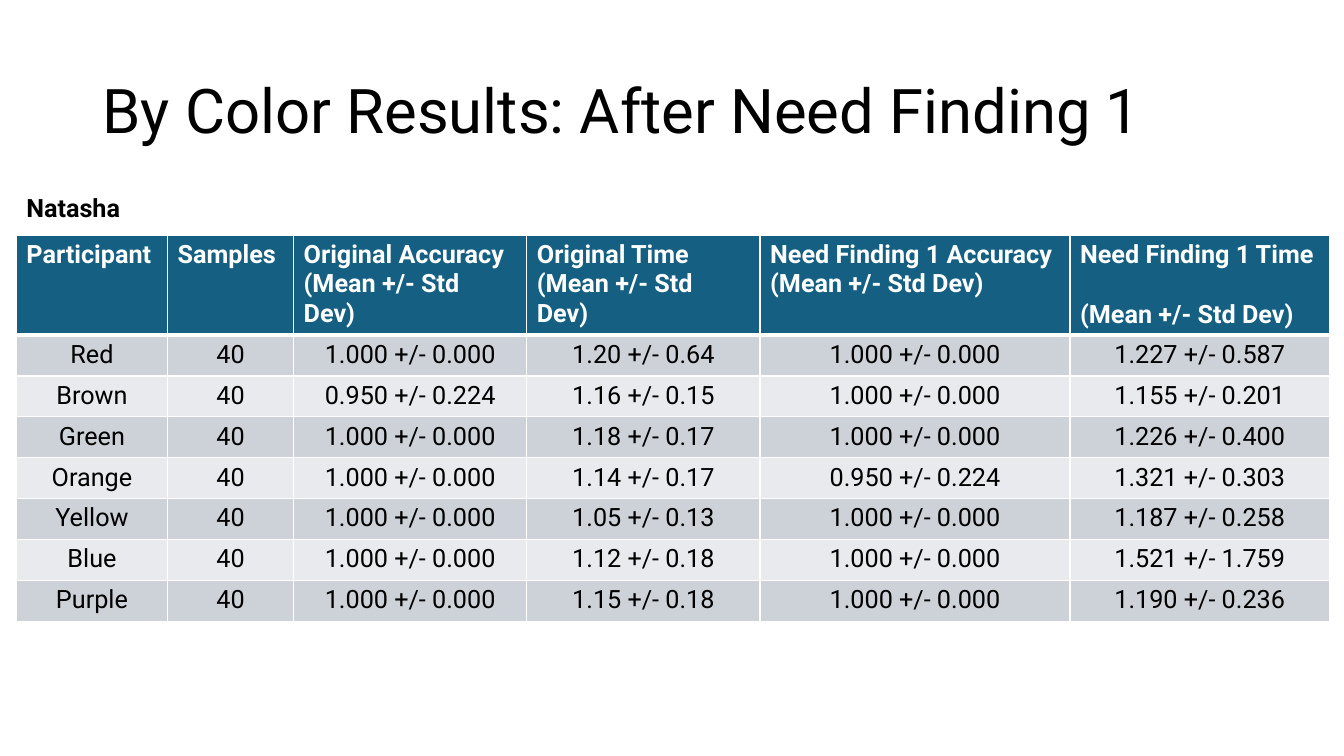
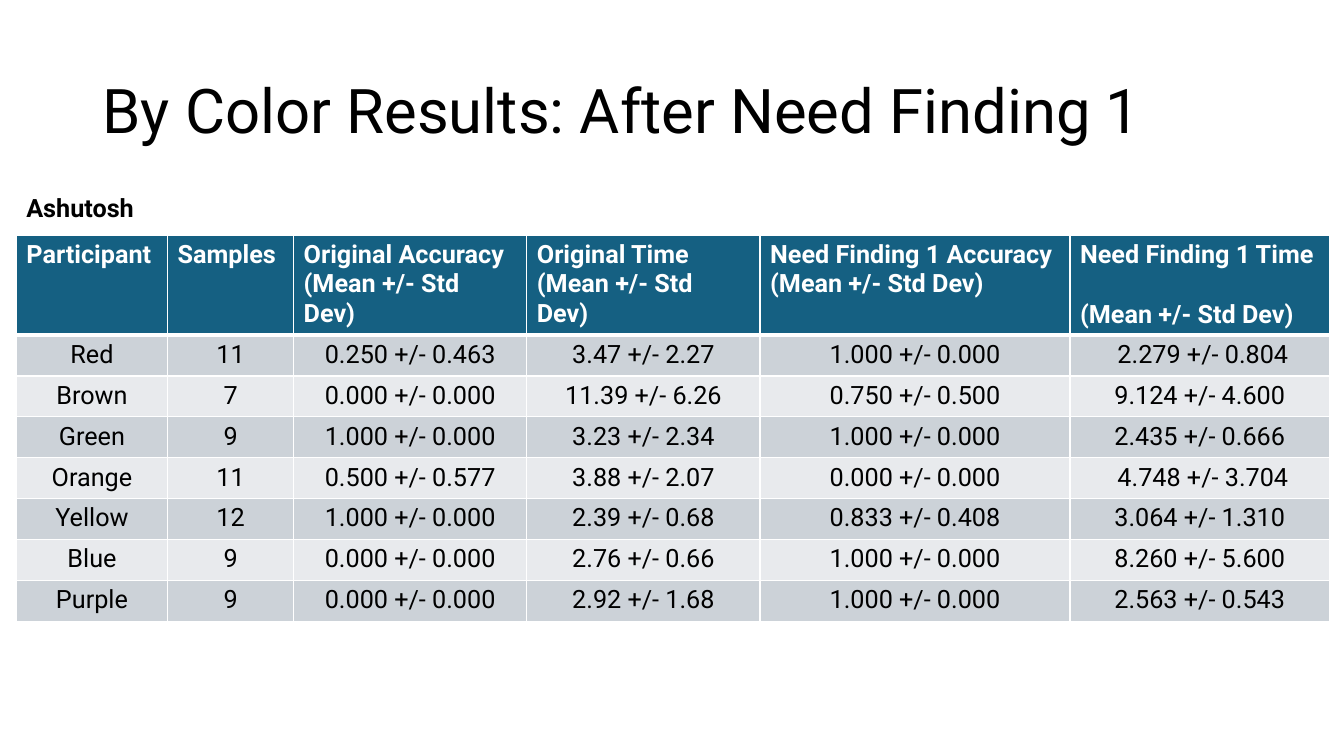
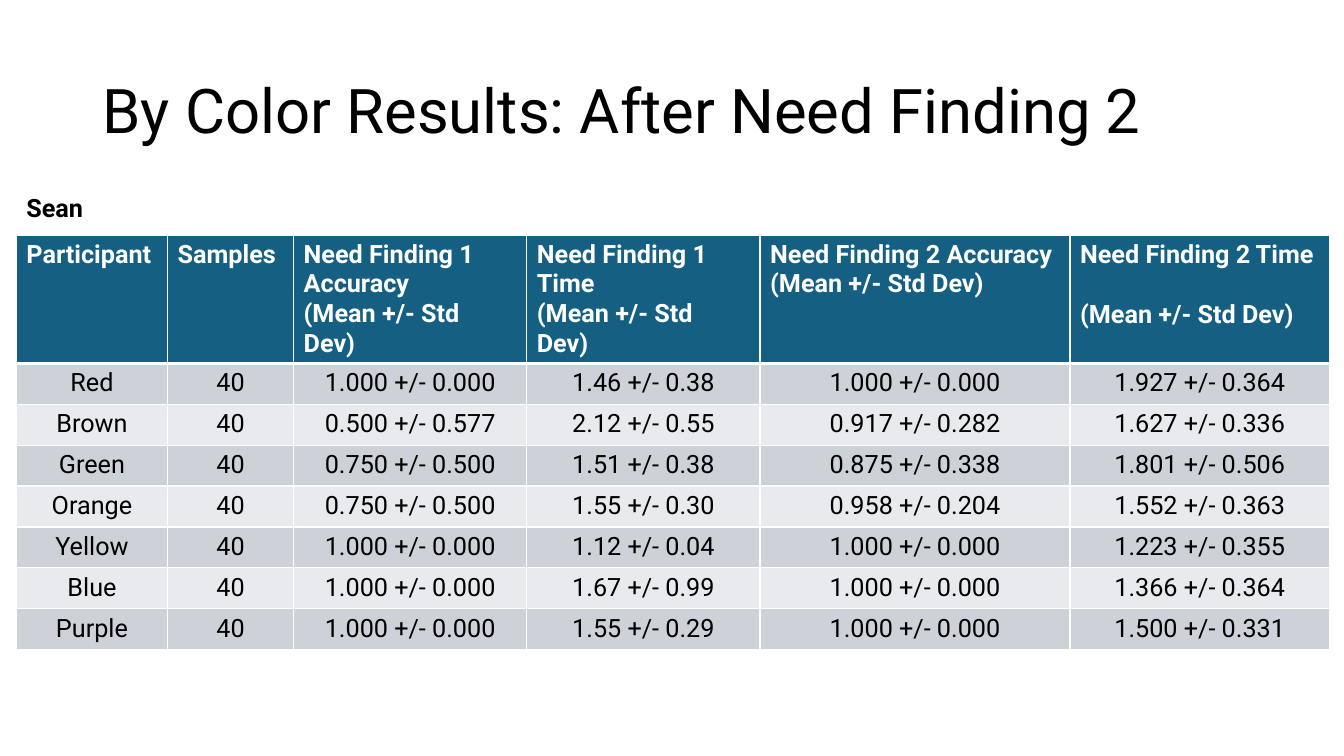
from lxml import etree
from pptx import Presentation
from pptx.dml.color import RGBColor
from pptx.enum.text import MSO_ANCHOR, MSO_AUTO_SIZE, PP_ALIGN
from pptx.oxml.ns import qn
from pptx.util import Pt

LEFT, CENTER = PP_ALIGN.LEFT, PP_ALIGN.CENTER
MIDDLE = MSO_ANCHOR.MIDDLE
NO_FIT, GROW = MSO_AUTO_SIZE.NONE, MSO_AUTO_SIZE.SHAPE_TO_FIT_TEXT

FONT = "Roboto"
BLACK, WHITE, HEADER = "000000", "FFFFFF", "156082"
BANDS = ("CCD2D8", "E8EAED")

TITLE_BOX = (66, 28.8, 828, 104.4)
TABLE_LEFT, TABLE_TOP = 11.7, 167.9
LABEL_TOP, LABEL_H = 133.5, 29.1
COL_WIDTHS = (108, 90, 166.6, 166.6, 221.4, 185.4)
ROW_H = 29.2

UNIT = "(Mean +/- Std Dev)"
COLORS = ("Red", "Brown", "Green", "Orange", "Yellow", "Blue", "Purple")

# Each row: samples, earlier accuracy, earlier time, later accuracy, later time
SLIDES = [
    dict(title="By Color Results: After Need Finding 1",
         name="Natasha", name_w=83.5, header_h=70,
         stages=("Original", "Need Finding 1"),
         rows=[
             ("40", "1.000 +/- 0.000", "1.20 +/- 0.64", "1.000 +/- 0.000", "1.227 +/- 0.587"),
             ("40", "0.950 +/- 0.224", "1.16 +/- 0.15", "1.000 +/- 0.000", "1.155 +/- 0.201"),
             ("40", "1.000 +/- 0.000", "1.18 +/- 0.17", "1.000 +/- 0.000", "1.226 +/- 0.400"),
             ("40", "1.000 +/- 0.000", "1.14 +/- 0.17", "0.950 +/- 0.224", "1.321 +/- 0.303"),
             ("40", "1.000 +/- 0.000", "1.05 +/- 0.13", "1.000 +/- 0.000", "1.187 +/- 0.258"),
             ("40", "1.000 +/- 0.000", "1.12 +/- 0.18", "1.000 +/- 0.000", "1.521 +/- 1.759"),
             ("40", "1.000 +/- 0.000", "1.15 +/- 0.18", "1.000 +/- 0.000", "1.190 +/- 0.236"),
         ]),
    dict(title="By Color Results: After Need Finding 1",
         name="Ashutosh", name_w=92.9, header_h=70,
         stages=("Original", "Need Finding 1"),
         rows=[
             ("11", "0.250 +/- 0.463", "3.47 +/- 2.27", "1.000 +/- 0.000", " 2.279 +/- 0.804"),
             ("7", "0.000 +/- 0.000", "11.39 +/- 6.26", "0.750 +/- 0.500", "9.124 +/- 4.600"),
             ("9", "1.000 +/- 0.000", "3.23 +/- 2.34", "1.000 +/- 0.000", "2.435 +/- 0.666"),
             ("11", "0.500 +/- 0.577", "3.88 +/- 2.07", "0.000 +/- 0.000", " 4.748 +/- 3.704"),
             ("12", "1.000 +/- 0.000", "2.39 +/- 0.68", "0.833 +/- 0.408", "3.064 +/- 1.310"),
             ("9", "0.000 +/- 0.000", "2.76 +/- 0.66", "1.000 +/- 0.000", "8.260 +/- 5.600"),
             ("9", "0.000 +/- 0.000", "2.92 +/- 1.68", "1.000 +/- 0.000", "2.563 +/- 0.543"),
         ]),
    dict(title="By Color Results: After Need Finding 2",
         name="Sean", name_w=56.2, header_h=91,
         stages=("Need Finding 1", "Need Finding 2"),
         rows=[
             ("40", "1.000 +/- 0.000", "1.46 +/- 0.38", "1.000 +/- 0.000", "1.927 +/- 0.364"),
             ("40", "0.500 +/- 0.577", "2.12 +/- 0.55", "0.917 +/- 0.282", "1.627 +/- 0.336"),
             ("40", "0.750 +/- 0.500", "1.51 +/- 0.38", "0.875 +/- 0.338", "1.801 +/- 0.506"),
             ("40", "0.750 +/- 0.500", "1.55 +/- 0.30", "0.958 +/- 0.204", "1.552 +/- 0.363"),
             ("40", "1.000 +/- 0.000", "1.12 +/- 0.04", "1.000 +/- 0.000", "1.223 +/- 0.355"),
             ("40", "1.000 +/- 0.000", "1.67 +/- 0.99", "1.000 +/- 0.000", "1.366 +/- 0.364"),
             ("40", "1.000 +/- 0.000", "1.55 +/- 0.29", "1.000 +/- 0.000", "1.500 +/- 0.331"),
         ]),
]


def rgb(color):
    return RGBColor.from_string(color)


def set_attrs(obj, **values):
    for name, value in values.items():
        setattr(obj, name, value)


def write(tf, text, size=18, color=BLACK, bold=False, align=LEFT):
    """Fill the first paragraph; a newline becomes a line break."""
    p = tf.paragraphs[0]
    p.alignment = align
    for i, line in enumerate(text.split("\n")):
        if i:
            p.add_line_break()
        r = p.add_run()
        r.text = line
        set_attrs(r.font, name=FONT, size=Pt(size), bold=bold)
        r.font.color.rgb = rgb(color)
    return p


def set_borders(cell, top=1, bottom=1):
    tc_pr = cell._tc.get_or_add_tcPr()
    widths = {"a:lnL": 1, "a:lnR": 1, "a:lnT": top, "a:lnB": bottom}
    for i, (tag, width) in enumerate(widths.items()):
        ln = etree.Element(qn(tag), w=str(Pt(width)))
        fill = etree.SubElement(ln, qn("a:solidFill"))
        etree.SubElement(fill, qn("a:srgbClr"), val=WHITE)
        tc_pr.insert(i, ln)


def fill_cell(cell, text, fill, top=1, bottom=1, **style):
    cell.fill.solid()
    cell.fill.fore_color.rgb = rgb(fill)
    set_borders(cell, top, bottom)
    write(cell.text_frame, text, **style)


def add_title(s, text, box):
    sp = s.shapes.title
    set_attrs(sp, **dict(zip(("left", "top", "width", "height"), map(Pt, box))))
    set_attrs(sp.text_frame, vertical_anchor=MIDDLE, auto_size=NO_FIT, word_wrap=True)
    write(sp.text_frame, text, size=44).line_spacing = 0.9


def add_name(s, text, left, top, width, height):
    sp = s.shapes.add_textbox(Pt(left), Pt(top), Pt(width), Pt(height))
    set_attrs(sp.text_frame, word_wrap=False, auto_size=GROW)
    write(sp.text_frame, text, bold=True)


def add_results(s, stages, rows, header_h, left, top):
    heights = [header_h] + [ROW_H] * len(rows)
    table = s.shapes.add_table(
        len(heights), len(COL_WIDTHS), Pt(left), Pt(top),
        Pt(sum(COL_WIDTHS)), Pt(sum(heights))).table
    table.horz_banding = False
    for col, width in zip(table.columns, COL_WIDTHS):
        col.width = Pt(width)
    for row, height in zip(table.rows, heights):
        row.height = Pt(height)

    headings = ["Participant", "Samples"]
    headings += [f"{stage} {measure} \n{UNIT}"
                 for stage in stages for measure in ("Accuracy", "Time")]
    for c, text in enumerate(headings):
        fill_cell(table.cell(0, c), text, HEADER, bottom=3, color=WHITE, bold=True)
    for i, (color, values) in enumerate(zip(COLORS, rows)):
        for c, text in enumerate((color, *values)):
            fill_cell(table.cell(i + 1, c), text, BANDS[i % 2],
                      top=1 if i else 3, align=CENTER)


def add_results_slide(prs, title, name, name_w, header_h, stages, rows):
    s = prs.slides.add_slide(prs.slide_layouts[5])
    add_title(s, title, TITLE_BOX)
    add_results(s, stages, rows, header_h, TABLE_LEFT, TABLE_TOP)
    add_name(s, name, TABLE_LEFT, LABEL_TOP, name_w, LABEL_H)


def main():
    prs = Presentation()
    set_attrs(prs, slide_width=Pt(960), slide_height=Pt(540))
    for content in SLIDES:
        add_results_slide(prs, **content)
    prs.save("out.pptx")


if __name__ == "__main__":
    main()
